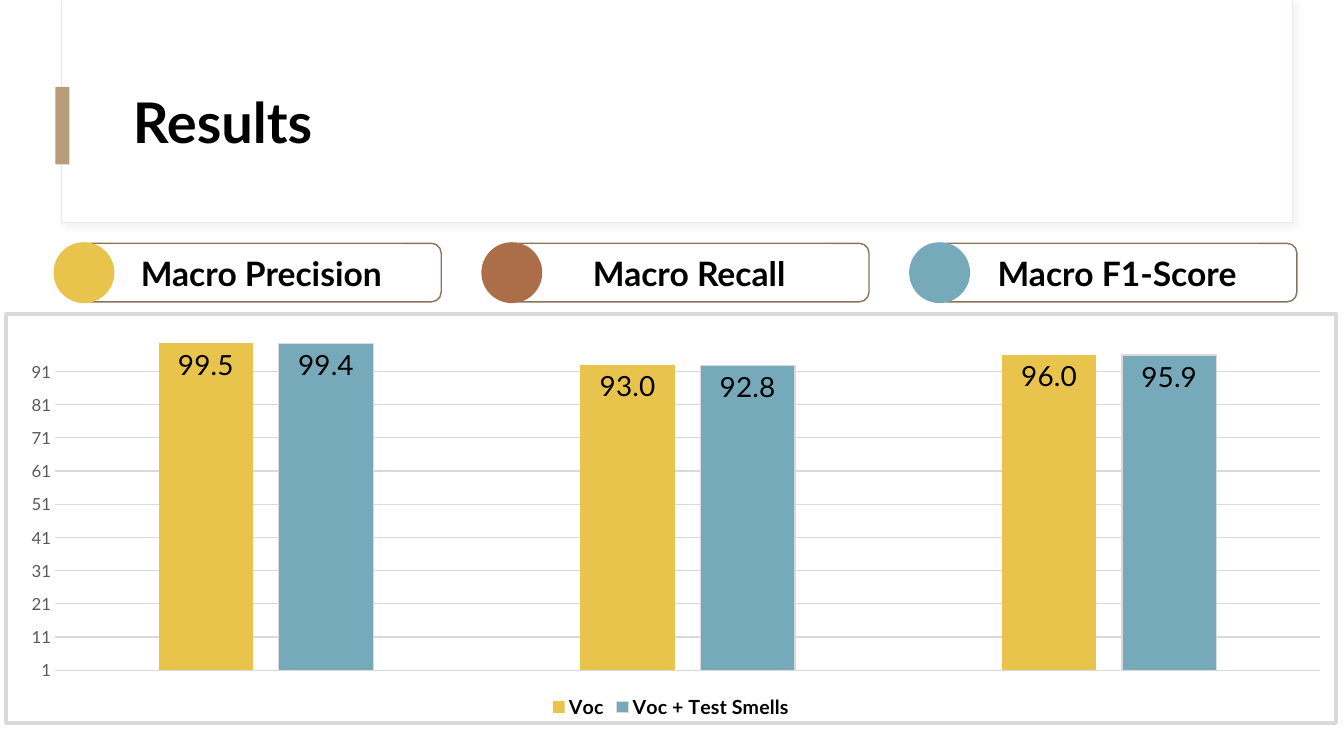
from lxml import etree
from pptx import Presentation
from pptx.chart.data import CategoryChartData
from pptx.dml.color import RGBColor
from pptx.enum.chart import XL_CHART_TYPE, XL_LABEL_POSITION, XL_LEGEND_POSITION, XL_TICK_MARK
from pptx.enum.shapes import MSO_SHAPE
from pptx.enum.text import MSO_ANCHOR, PP_ALIGN
from pptx.oxml import parse_xml
from pptx.oxml.ns import nsdecls, qn
from pptx.util import Pt

RECT, PILL, DOT = MSO_SHAPE.RECTANGLE, MSO_SHAPE.ROUNDED_RECTANGLE, MSO_SHAPE.OVAL
MIDDLE, LEFT, CENTER = MSO_ANCHOR.MIDDLE, PP_ALIGN.LEFT, PP_ALIGN.CENTER
COLUMNS = XL_CHART_TYPE.COLUMN_CLUSTERED
INSIDE_END, BOTTOM, NO_TICK = XL_LABEL_POSITION.INSIDE_END, XL_LEGEND_POSITION.BOTTOM, XL_TICK_MARK.NONE

BLACK = RGBColor(0x00, 0x00, 0x00)
WHITE = RGBColor(0xFF, 0xFF, 0xFF)
BLUSH = RGBColor(0xF0, 0xE5, 0xE5)
TAN = RGBColor(0xB7, 0x9D, 0x7A)
BROWN = RGBColor(0x87, 0x74, 0x5A)
YELLOW = RGBColor(0xE9, 0xC4, 0x4D)
RUST = RGBColor(0xAC, 0x6E, 0x49)
TEAL = RGBColor(0x76, 0xAA, 0xBA)
GRID = RGBColor(0xD9, 0xD9, 0xD9)
AXIS_GREY = RGBColor(0x59, 0x59, 0x59)


class SlideBuilder:
    """Draws styled elements on one slide, with lengths in points."""

    def __init__(self, slide, font="Lato"):
        self.slide = slide
        self.font = font

    def style(self, font, size, color=BLACK, bold=False):
        font.name, font.size, font.bold = self.font, Pt(size), bold
        font.color.rgb = color

    def set_text(self, frame, text, size, align):
        frame.text = text
        frame.word_wrap = True
        frame.vertical_anchor = MIDDLE
        frame.paragraphs[0].alignment = align
        self.style(frame.paragraphs[0].runs[0].font, size, bold=True)

    def shape(self, kind, box, fill=None, line=None, width=1):
        shape = self.slide.shapes.add_shape(kind, *map(Pt, box))
        shape.shadow.inherit = False
        if fill is None:
            shape.fill.background()
        else:
            shape.fill.solid()
            shape.fill.fore_color.rgb = fill
        if line is None:
            shape.line.fill.background()
        else:
            shape.line.color.rgb = line
            shape.line.width = Pt(width)
        return shape

    def cast_shadow(self, shape):
        effects = shape._element.spPr.find(qn("a:effectLst"))
        effects.append(parse_xml(
            f'<a:outerShdw {nsdecls("a")} blurRad="{Pt(4)}" dist="{Pt(3)}" dir="2700000">'
            f'<a:srgbClr val="{GRID}"><a:alpha val="30000"/></a:srgbClr></a:outerShdw>'))

    def title(self, text, box):
        title = self.slide.shapes.add_textbox(*map(Pt, box))
        self.set_text(title.text_frame, text, 40, LEFT)
        title.text_frame.paragraphs[0].line_spacing = 0.9

    def metric(self, text, color, left, top):
        pill = self.shape(PILL, (left + 20, top + 0.8, 257, 41.8), line=BROWN)
        self.set_text(pill.text_frame, text, 24, CENTER)
        self.shape(DOT, (left, top, 43.5, 43.5), color)

    def chart(self, categories, series, box):
        data = CategoryChartData(number_format="0.0")
        data.categories = categories
        for name, values, _, _ in series:
            data.add_series(name, values)
        chart = self.slide.shapes.add_chart(COLUMNS, *map(Pt, box), data).chart
        self.style(chart.font, 10)
        chart.has_title = False
        chart.has_legend = True
        chart.legend.position = BOTTOM
        chart.legend.include_in_layout = False
        self.style(chart.legend.font, 14, bold=True)
        chart.category_axis.visible = False
        self.value_axis(chart.value_axis)
        plot = chart.plots[0]
        plot.gap_width, plot.overlap, plot.vary_by_categories = 219, -27, False
        for columns, (_, _, color, outline) in zip(plot.series, series):
            self.columns(columns, color, outline)
        self.chart_frame(chart)

    def value_axis(self, axis):
        axis.minimum_scale, axis.maximum_scale, axis.major_unit = 1, 100, 10
        axis.major_tick_mark = axis.minor_tick_mark = NO_TICK
        axis.format.line.fill.background()
        axis.major_gridlines.format.line.color.rgb = GRID
        axis.major_gridlines.format.line.width = Pt(1)
        axis.tick_labels.number_format = "0"
        axis.tick_labels.number_format_is_linked = False
        self.style(axis.tick_labels.font, 12, AXIS_GREY)

    def columns(self, columns, color, outline):
        columns.format.fill.solid()
        columns.format.fill.fore_color.rgb = color
        if outline is None:
            columns.format.line.fill.background()
        else:
            columns.format.line.color.rgb = outline
            columns.format.line.width = Pt(1)
        labels = columns.data_labels
        labels.show_value = True
        labels.position = INSIDE_END
        labels.number_format = "0.0"
        labels.number_format_is_linked = False
        self.style(labels.font, 20)

    def chart_frame(self, chart):
        root = chart._chartSpace
        root.find(qn("c:chart")).addnext(parse_xml(
            f'<c:spPr {nsdecls("c", "a")}><a:solidFill><a:srgbClr val="{WHITE}"/></a:solidFill>'
            f'<a:ln w="{Pt(2.5)}"><a:solidFill><a:srgbClr val="{GRID}"/></a:solidFill></a:ln></c:spPr>'))
        area = root.find(".//" + qn("c:plotArea"))
        for layout in area.findall(qn("c:layout")):
            area.remove(layout)
        layout = etree.Element(qn("c:layout"))
        manual = etree.SubElement(layout, qn("c:manualLayout"))
        settings = (("layoutTarget", "inner"), ("xMode", "edge"), ("yMode", "edge"),
                    ("x", "0.037"), ("y", "0.067"), ("w", "0.951"), ("h", "0.804"))
        for tag, value in settings:
            etree.SubElement(manual, qn("c:" + tag)).set("val", value)
        area.insert(0, layout)


def main():
    deck = Presentation()
    deck.slide_width, deck.slide_height = Pt(960), Pt(540)
    page = SlideBuilder(deck.slides.add_slide(deck.slide_layouts[6]))

    header = page.shape(RECT, (44, 0, 879, 159), WHITE, BLUSH, 0.75)
    page.cast_shadow(header)
    page.shape(RECT, (44.6, 0, 878.4, 158.4), WHITE)
    page.shape(RECT, (39.6, 62, 10, 55.4), TAN)
    page.title("Results", (87.8, 43.2, 800.6, 92.9))

    metrics = (("Macro Precision", YELLOW), ("Macro Recall", RUST), ("Macro F1-Score", TEAL))
    for index, (text, color) in enumerate(metrics):
        page.metric(text, color, 38.2 + index * 305.6, 173)

    series = (("Voc", (99.5, 93.0, 96.0), YELLOW, None),
              ("Voc + Test Smells", (99.4, 92.8, 95.9), TEAL, GRID))
    page.chart(("1", "2", "3"), series, (3, 223.2, 952.6, 294.5))
    deck.save("out.pptx")


if __name__ == "__main__":
    main()
